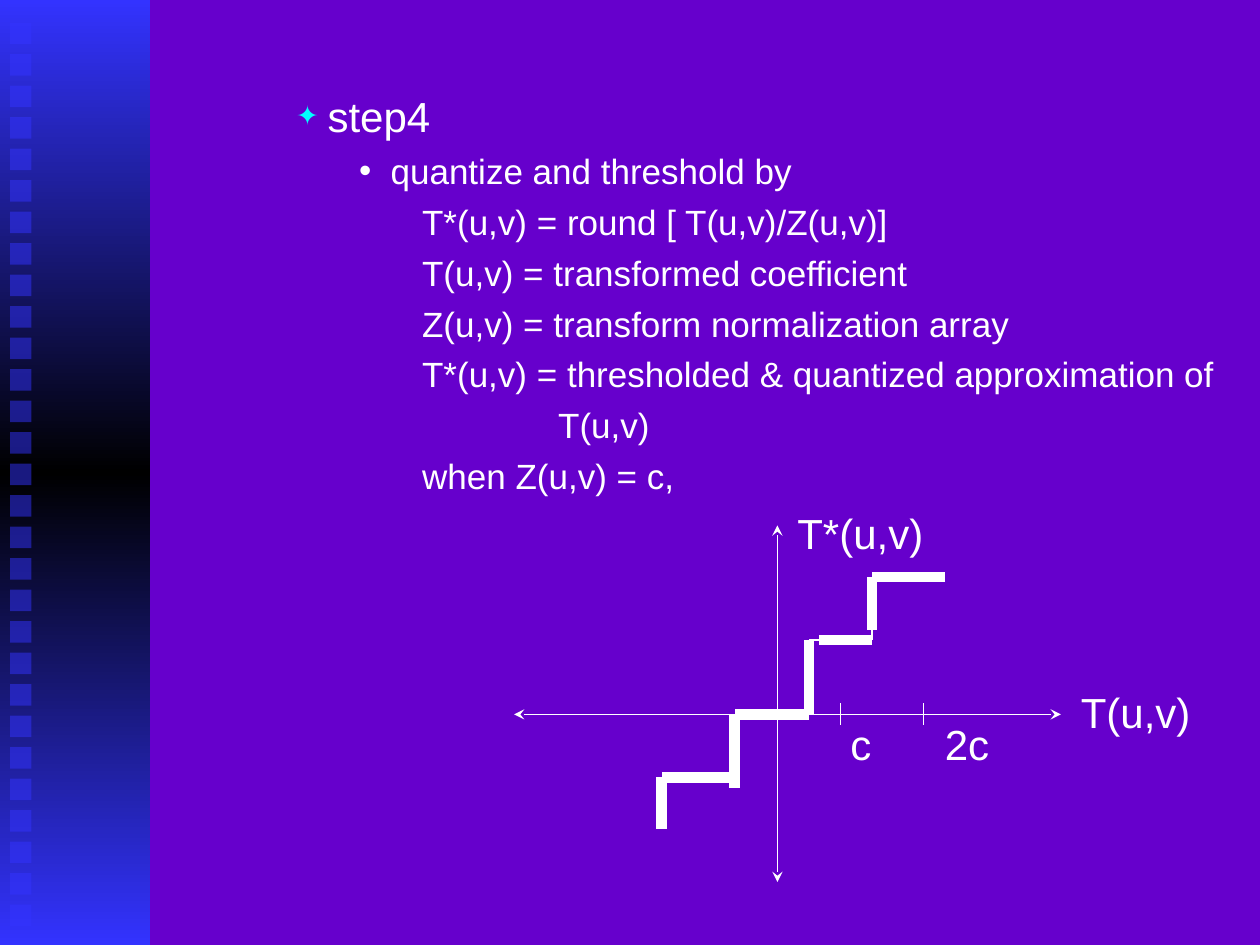
from copy import deepcopy
from dataclasses import dataclass

from pptx import Presentation
from pptx.dml.color import RGBColor
from pptx.enum import shapes, text
from pptx.oxml import xmlchemy
from pptx.util import Inches, Pt


@dataclass(frozen=True)
class Theme:
    background: RGBColor = RGBColor(0x66, 0x00, 0xCC)
    blue: RGBColor = RGBColor(0x33, 0x33, 0xFF)
    black: RGBColor = RGBColor(0, 0, 0)
    white: RGBColor = RGBColor(0xFF, 0xFF, 0xFF)
    cyan: RGBColor = RGBColor(0x00, 0xFF, 0xFF)
    font: str = "Arial"
    large: float = 24
    normal: float = 20
    thin: float = 1
    thick: float = 6


THEME = Theme()


def add_element(parent, tag, **attributes):
    element = xmlchemy.OxmlElement(tag)
    for name, value in attributes.items():
        element.set(name, str(value))
    parent.append(element)
    return element


def add_run(paragraph, words, size):
    run = paragraph.add_run()
    run.text = words
    run.font.name = THEME.font
    run.font.size = Pt(size)
    run.font.color.rgb = THEME.white


def add_block(slide, left, top, width, height):
    block = slide.shapes.add_shape(
        shapes.MSO_SHAPE.RECTANGLE,
        Inches(left), Inches(top), Inches(width), Inches(height))
    block.shadow.inherit = False
    block.line.fill.background()
    return block


def add_sidebar(slide, left, top, width, height):
    band = add_block(slide, left, top, width, height)
    band.fill.gradient()
    band.fill.gradient_angle = 90
    stop_list = band.element.spPr.xpath(".//a:gsLst")[0]
    stop_list.append(deepcopy(stop_list[0]))
    stops = zip(band.fill.gradient_stops, (0, 0.5, 1),
                (THEME.blue, THEME.black, THEME.blue))
    for stop, position, color in stops:
        stop.position = position
        stop.color.rgb = color

    for index in range(29):
        square = add_block(slide, left + 0.08, top + 0.18 + 0.25 * index, 0.17, 0.17)
        square.fill.solid()
        square.fill.fore_color.rgb = THEME.blue
        color = square.element.spPr.xpath("./a:solidFill/a:srgbClr")[0]
        add_element(color, "a:alpha", val=50000)


def set_bullet(properties, character, color, percent):
    add_element(add_element(properties, "a:buClr"), "a:srgbClr", val=color)
    add_element(properties, "a:buSzPct", val=percent * 1000)
    add_element(properties, "a:buFont", typeface=THEME.font)
    add_element(properties, "a:buChar", char=character)


def add_step(body, left, top, width, height):
    body.left, body.top = Inches(left), Inches(top)
    body.width, body.height = Inches(width), Inches(height)
    frame = body.text_frame
    frame.word_wrap = True
    frame.auto_size = text.MSO_AUTO_SIZE.NONE
    frame.vertical_anchor = text.MSO_ANCHOR.TOP
    star = ("✦", THEME.cyan, 65)
    dot = ("•", THEME.white, 100)
    lines = [
        ("step4", 1, 1.25, star),
        ("quantize and threshold by", 2, 1.75, dot),
        ("T*(u,v) = round [ T(u,v)/Z(u,v)]", 3, 2.25, None),
        ("T(u,v) = transformed coefficient", 3, 2.25, None),
        ("Z(u,v) = transform normalization array", 3, 2.25, None),
        ("T*(u,v) = thresholded & quantized approximation of", 3, 2.25, None),
        ("T(u,v)", 3, 3.33, None),
        ("when Z(u,v) = c,", 3, 2.25, None),
    ]
    for index, (words, level, margin, bullet) in enumerate(lines):
        paragraph = frame.add_paragraph() if index else frame.paragraphs[0]
        paragraph.level = level
        paragraph.space_before = Pt(5 if index else 0)
        properties = paragraph._p.get_or_add_pPr()
        properties.set("marL", str(Inches(margin)))
        properties.set("indent", str(Inches(-0.25)))
        if bullet:
            set_bullet(properties, *bullet)
        else:
            add_element(properties, "a:buNone")
        add_run(paragraph, words, THEME.normal if index else THEME.large)


def add_line(slide, start, end, weight, arrows=False):
    points = [Inches(value) for value in (*start, *end)]
    line = slide.shapes.add_connector(shapes.MSO_CONNECTOR.STRAIGHT, *points)
    line.line.color.rgb = THEME.white
    line.line.width = Pt(weight)
    properties = line.element.spPr
    if arrows:
        outline = properties.xpath("./a:ln")[0]
        for tag in ("a:headEnd", "a:tailEnd"):
            add_element(outline, tag, type="stealth")
    add_element(properties, "a:effectLst")


def add_label(slide, words, left, top, width):
    label = slide.shapes.add_textbox(
        Inches(left), Inches(top), Inches(width), Inches(0.5))
    label.text_frame.word_wrap = False
    label.text_frame.auto_size = text.MSO_AUTO_SIZE.SHAPE_TO_FIT_TEXT
    add_run(label.text_frame.paragraphs[0], words, THEME.large)


def add_staircase_plot(slide, left, top, width, height):
    def place(x, y):
        return left + x, top + y

    axis_x, axis_y = 2.09, 1.5
    add_line(slide, place(0, axis_y), place(width, axis_y), THEME.thin, arrows=True)
    add_line(slide, place(axis_x, 0), place(axis_x, height), THEME.thin, arrows=True)

    thick_steps = [
        ((3.42, 0.41), (2.84, 0.41)),
        ((2.84, 0.41), (2.84, 0.83)),
        ((2.84, 0.91), (2.42, 0.91)),
        ((2.34, 0.91), (2.34, 1.5)),
        ((2.34, 1.5), (1.75, 1.5)),
        ((1.75, 1.5), (1.75, 2.08)),
        ((1.75, 2), (1.17, 2)),
        ((1.17, 2), (1.17, 2.41)),
    ]
    thin_joins = [((2.84, 0.83), (2.84, 0.91)), ((2.5, 0.91), (2.34, 0.91))]
    ticks = [((x, axis_y - 0.09), (x, axis_y + 0.08)) for x in (2.59, 3.25)]
    for start, end in thick_steps:
        add_line(slide, place(*start), place(*end), THEME.thick)
    for start, end in thin_joins + ticks:
        add_line(slide, place(*start), place(*end), THEME.thin)

    labels = [
        ("T(u,v)", 4.4, 1.23, 1.07),
        ("T*(u,v)", 2.15, -0.19, 1.2),
        ("c", 2.57, 1.48, 0.37),
        ("2c", 3.32, 1.48, 0.55),
    ]
    for words, x, y, label_width in labels:
        add_label(slide, words, *place(x, y), label_width)


def main():
    presentation = Presentation()
    presentation.slide_width = Inches(10)
    presentation.slide_height = Inches(7.5)
    slide = presentation.slides.add_slide(presentation.slide_layouts[1])
    slide.background.fill.solid()
    slide.background.fill.fore_color.rgb = THEME.background
    title = slide.shapes.title.element
    title.getparent().remove(title)

    add_sidebar(slide, 0, 0, 1.19, 7.5)
    add_step(slide.placeholders[1], 1.25, 0.67, 8.5, 6)
    add_staircase_plot(slide, 4.08, 4.17, 4.34, 2.83)
    presentation.save("out.pptx")


if __name__ == "__main__":
    main()
